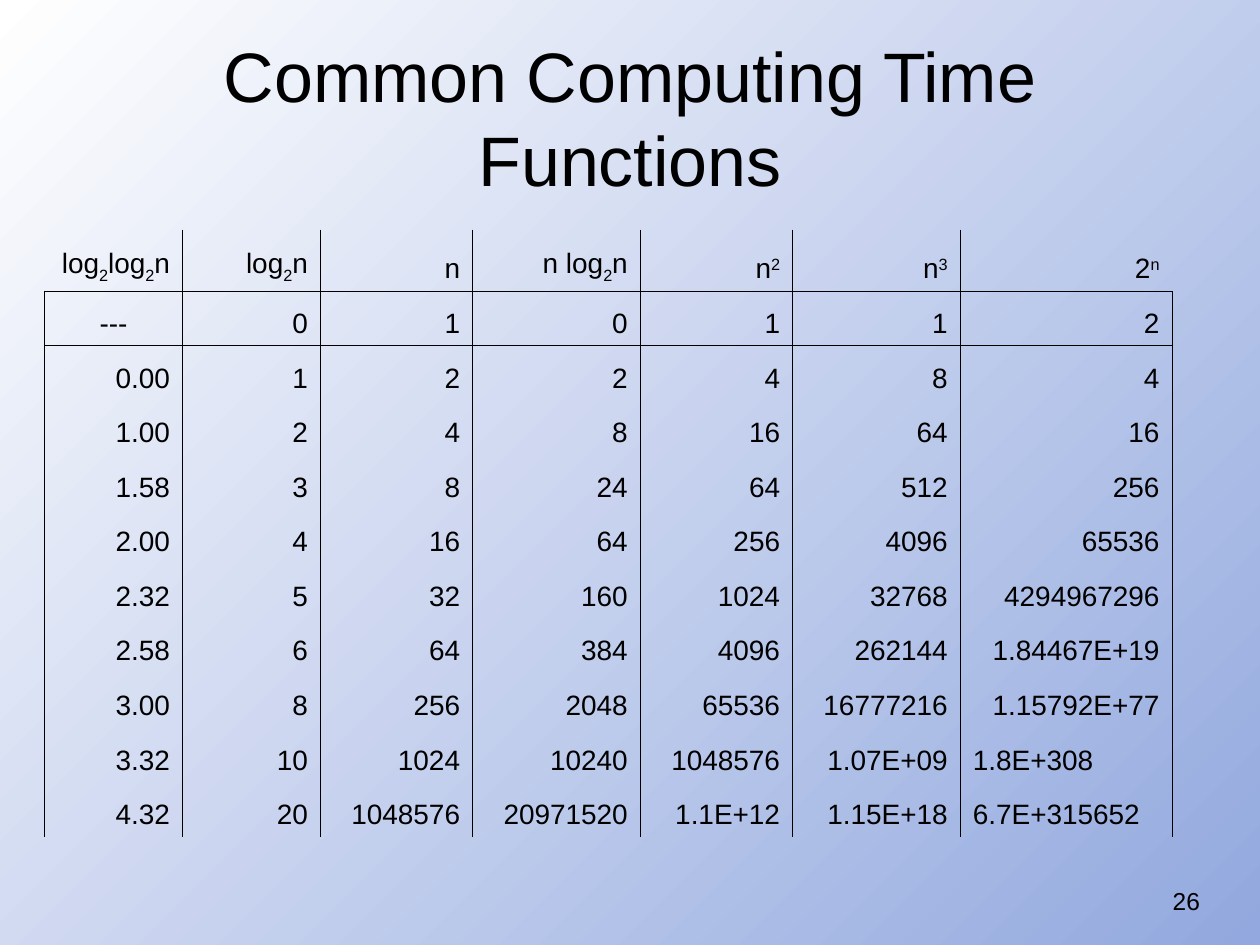
from lxml.etree import SubElement
from pptx import Presentation
from pptx.dml.color import RGBColor
from pptx.enum.text import MSO_ANCHOR, MSO_AUTO_SIZE, PP_ALIGN
from pptx.oxml.ns import qn
from pptx.util import Cm, Pt

COLOURS = {"text": "000000", "border": "000000", "light": "FFFFFF", "deep": "92A8DE"}
FONT = "Arial"
BORDER_WIDTH = Pt(0.45)
PLAIN_TABLE_STYLE = "{2D5ABB26-0587-4C30-8999-92F81FD0307C}"

SUB, SUPER = -30000, 30000
HEADERS = [
    [("log", 0), ("2", SUB), ("log", 0), ("2", SUB), ("n", 0)],
    [("log", 0), ("2", SUB), ("n", 0)],
    [("n", 0)],
    [("n log", 0), ("2", SUB), ("n", 0)],
    [("n", 0), ("2", SUPER)],
    [("n", 0), ("3", SUPER)],
    [("2", 0), ("n", SUPER)],
]
VALUES = [
    ["---", "0", "1", "0", "1", "1", "2"],
    ["0.00", "1", "2", "2", "4", "8", "4"],
    ["1.00", "2", "4", "8", "16", "64", "16"],
    ["1.58", "3", "8", "24", "64", "512", "256"],
    ["2.00", "4", "16", "64", "256", "4096", "65536"],
    ["2.32", "5", "32", "160", "1024", "32768", "4294967296"],
    ["2.58", "6", "64", "384", "4096", "262144", "1.84467E+19"],
    ["3.00", "8", "256", "2048", "65536", "16777216", "1.15792E+77"],
    ["3.32", "10", "1024", "10240", "1048576", "1.07E+09", "1.8E+308"],
    ["4.32", "20", "1048576", "20971520", "1.1E+12", "1.15E+18", "6.7E+315652"],
]
ALIGNMENTS = {
    "---": PP_ALIGN.CENTER,
    "1.8E+308": PP_ALIGN.LEFT,
    "6.7E+315652": PP_ALIGN.LEFT,
}
COLUMN_WIDTHS = [2.78, 2.78, 3.07, 3.38, 3.07, 3.38, 4.27]
HEADER_HEIGHT, ROW_HEIGHT = 1.24, 1.1


def colour(name):
    return RGBColor.from_string(COLOURS[name])


def write(frame, pieces, size, alignment):
    para = frame.paragraphs[0]
    para.alignment = alignment
    for text, baseline in pieces:
        span = para.add_run()
        span.text = text
        span.font.name = FONT
        span.font.size = Pt(size)
        span.font.color.rgb = colour("text")
        if baseline:
            span.font._element.set("baseline", str(baseline))


def paint_background(slide):
    fill = slide.background.fill
    fill.gradient()
    fill.gradient_angle = 315
    for stop, name, position in zip(fill.gradient_stops, ("light", "deep"), (0, 1)):
        stop.color.rgb = colour(name)
        stop.position = position


def add_title(slide, text):
    title = slide.shapes.title
    title.left, title.top, title.width, title.height = Cm(1.27), Cm(0.76), Cm(22.86), Cm(3.18)
    frame = title.text_frame
    frame.word_wrap = True
    frame.auto_size = MSO_AUTO_SIZE.NONE
    frame.vertical_anchor = MSO_ANCHOR.MIDDLE
    write(frame, [(text, 0)], 40, PP_ALIGN.CENTER)


def add_slide_number(slide, text):
    box = slide.shapes.add_textbox(Cm(18.52), Cm(17.73), Cm(5.92), Cm(1.32))
    box.text_frame.word_wrap = True
    write(box.text_frame, [(text, 0)], 14, PP_ALIGN.RIGHT)


def draw_borders(cell, sides):
    properties = cell._tc.get_or_add_tcPr()
    for side in ("L", "R", "T", "B"):
        if side in sides:
            line = SubElement(properties, qn(f"a:ln{side}"), w=str(BORDER_WIDTH))
            solid = SubElement(line, qn("a:solidFill"))
            SubElement(solid, qn("a:srgbClr"), val=COLOURS["border"])


def border_sides(row, column):
    is_header = row == 0
    sides = "B" if is_header else "T" if row == 1 else ""
    if column > 0 or not is_header:
        sides += "L"
    if column < len(COLUMN_WIDTHS) - 1 or not is_header:
        sides += "R"
    return sides


def fill_cell(cell, pieces, alignment, sides):
    cell.vertical_anchor = MSO_ANCHOR.BOTTOM
    draw_borders(cell, sides)
    cell.fill.background()
    write(cell.text_frame, pieces, 16, alignment)


def add_growth_table(slide):
    rows = [HEADERS] + [[[(value, 0)] for value in row] for row in VALUES]
    heights = [HEADER_HEIGHT] + [ROW_HEIGHT] * len(VALUES)
    table = slide.shapes.add_table(
        len(rows), len(COLUMN_WIDTHS), Cm(0.9), Cm(4.63),
        Cm(sum(COLUMN_WIDTHS)), Cm(sum(heights)),
    ).table
    table._tbl.tblPr.find(qn("a:tableStyleId")).text = PLAIN_TABLE_STYLE
    table.horz_banding = False
    for column, width in zip(table.columns, COLUMN_WIDTHS):
        column.width = Cm(width)
    for row_index, (row, height) in enumerate(zip(rows, heights)):
        table.rows[row_index].height = Cm(height)
        for column_index, pieces in enumerate(row):
            alignment = ALIGNMENTS.get(pieces[0][0], PP_ALIGN.RIGHT)
            sides = border_sides(row_index, column_index)
            fill_cell(table.cell(row_index, column_index), pieces, alignment, sides)


def main():
    deck = Presentation()
    deck.slide_width, deck.slide_height = Cm(25.4), Cm(19.05)
    slide = deck.slides.add_slide(deck.slide_layouts[5])
    paint_background(slide)
    add_slide_number(slide, "26")
    add_title(slide, "Common Computing Time Functions")
    add_growth_table(slide)
    deck.save("out.pptx")


if __name__ == "__main__":
    main()
